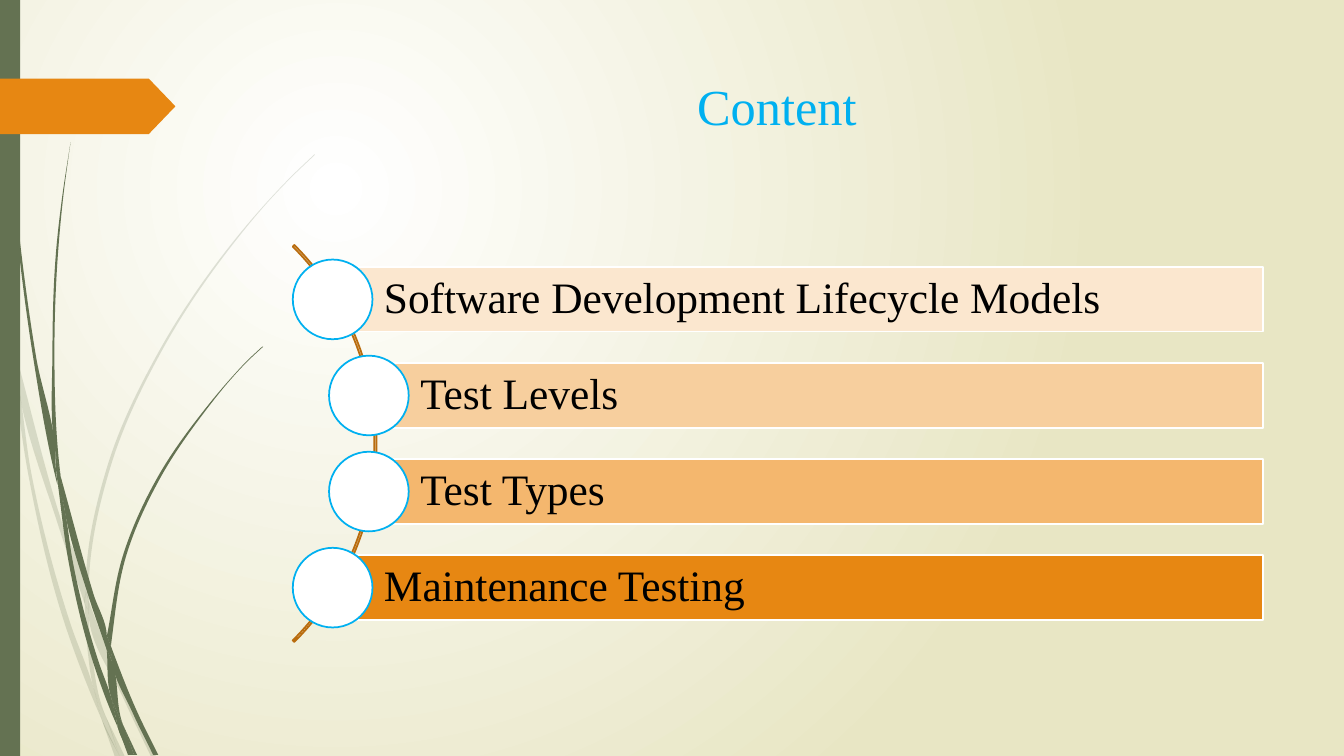
from math import hypot, sqrt

from lxml.etree import SubElement
from pptx import Presentation
from pptx.dml.color import RGBColor
from pptx.enum.shapes import MSO_SHAPE as Preset
from pptx.enum.text import MSO_ANCHOR as Anchor, MSO_AUTO_SIZE as AutoSize, PP_ALIGN as Align
from pptx.oxml import parse_xml
from pptx.oxml.ns import nsdecls, qn
from pptx.util import Inches, Pt

WIDTH, HEIGHT = 13.33, 7.5
FONT = "Times New Roman"
WHITE = RGBColor(0xFF, 0xFF, 0xFF)
BLACK = RGBColor(0x00, 0x00, 0x00)
CREAM = RGBColor(0xE8, 0xE6, 0xC4)
MOSS = RGBColor(0x64, 0x72, 0x52)
ORANGE = RGBColor(0xE7, 0x87, 0x12)
BROWN = RGBColor(0xB9, 0x6C, 0x0E)
SKY = RGBColor(0x00, 0xB0, 0xF0)

TOPICS = [
    ("Software Development Lifecycle Models", RGBColor(0xFB, 0xE7, 0xCF)),
    ("Test Levels", RGBColor(0xF7, 0xCF, 0x9E)),
    ("Test Types", RGBColor(0xF4, 0xB7, 0x6E)),
    ("Maintenance Testing", ORANGE),
]
ROW_PITCH, BAR_HEIGHT, BAR_RIGHT = 2.86 / 3, 0.64, 12.525
NODE_SIZE, NODE_ORBIT = 0.79, 2.75
ARC_X, ARC_Y, ARC_SIZE = 0.95, 4.4, 5.57

# Outlines of the grass segments, in inches
FAINT_GRASS = [
    [(0.11, 3.5), (0.09, 3.22), (0, 2.82), (0, 2.99), (0.1, 3.44)],
    [(0.58, 5.22), (0.84, 5.99), (0.85, 5.86), (0.62, 5.2), (0.14, 3.45), (0.17, 3.76)],
    [(0.92, 6.07), (0.88, 5.96), (0.88, 6.1), (1.23, 6.94), (1.5, 7.51), (1.55, 7.51),
     (1.27, 6.92)],
    [(1.19, 7.51), (1.24, 7.51), (1.05, 7.11)],
    [(0.93, 6.83), (0.7, 6.19), (0.31, 4.69), (0.17, 3.76), (0.11, 3.5), (0.28, 4.7),
     (0.65, 6.21), (0.92, 6.93), (1.01, 7.14), (0.99, 7.07)],
    [(0.84, 5.99), (0.87, 6.46), (0.93, 6.83), (0.96, 6.92), (1.05, 7.11), (1.03, 7.06),
     (0.91, 6.46), (0.88, 6.1), (0.88, 6.08)],
    [(0.88, 5.84), (1.1, 4.62), (1.6, 3.49), (2.29, 2.45), (2.68, 1.98), (2.9, 1.75),
     (3.12, 1.54), (3.12, 1.53), (2.89, 1.75), (2.68, 1.97), (2.28, 2.44), (1.58, 3.48),
     (1.07, 4.61), (0.85, 5.84), (0.85, 5.86), (0.88, 5.96)],
    [(1.01, 7.14), (1.14, 7.51), (1.19, 7.51)],
    [(0.88, 6.08), (0.88, 6.1), (0.88, 5.96), (0.85, 5.86), (0.84, 5.99)],
    [(0.96, 6.92), (0.93, 6.83), (0.99, 7.07), (1.01, 7.14), (1.19, 7.51), (1.05, 7.11)],
]
DARK_GRASS = [
    [(0.07, 1.1), (0.17, 2.33), (0.33, 3.55), (0.56, 4.77), (0.57, 4.81), (0.55, 4.57),
     (0.55, 4.53), (0.36, 3.55), (0.19, 2.32), (0.08, 1.09), (0.05, 0.48), (0.04, 0),
     (0.03, 0), (0.04, 0.48)],
    [(0.88, 5.92), (1.06, 6.45), (1.06, 6.33), (1.06, 6.31), (0.93, 5.9), (0.6, 4.72),
     (0.64, 5.05)],
    [(1.13, 6.49), (1.1, 6.41), (1.11, 6.56), (1.32, 7.08), (1.52, 7.49), (1.57, 7.49),
     (1.36, 7.06)],
    [(1.1, 6.91), (0.98, 6.57), (0.72, 5.56), (0.64, 5.05), (0.57, 4.77), (0.68, 5.57),
     (0.93, 6.59), (1.11, 7.08), (1.17, 7.22), (1.16, 7.17)],
    [(0.6, 4.72), (0.58, 4.53), (0.54, 3.49), (0.58, 2.45), (0.63, 1.93), (0.7, 1.41),
     (0.62, 1.93), (0.56, 2.45), (0.52, 3.49), (0.55, 4.49)],
    [(1.33, 7.49), (1.36, 7.49), (1.22, 7.19)],
    [(0.57, 4.77), (0.64, 5.05), (0.6, 4.72), (0.55, 4.49), (0.55, 4.53)],
    [(1.11, 6.33), (1.25, 5.52), (1.58, 4.76), (2.05, 4.06), (2.31, 3.74), (2.45, 3.59),
     (2.61, 3.44), (2.6, 3.44), (2.45, 3.58), (2.31, 3.73), (2.04, 4.05), (1.56, 4.74),
     (1.22, 5.51), (1.06, 6.31), (1.1, 6.41)],
    [(1.17, 7.22), (1.27, 7.49), (1.31, 7.49)],
    [(1.06, 6.45), (1.1, 6.91), (1.16, 7.06), (1.22, 7.19), (1.21, 7.16), (1.11, 6.56),
     (1.09, 6.51)],
    [(1.06, 6.45), (1.09, 6.51), (1.11, 6.56), (1.1, 6.41), (1.06, 6.31), (1.06, 6.33)],
    [(1.16, 7.06), (1.1, 6.91), (1.16, 7.17), (1.17, 7.22), (1.3, 7.49), (1.33, 7.49),
     (1.22, 7.19)],
]


def style(shape, fill=None, line=None):
    shape.shadow.inherit = False
    if fill is None:
        shape.fill.background()
    else:
        shape.fill.solid()
        shape.fill.fore_color.rgb = fill
    if line is None:
        shape.line.fill.background()
    else:
        shape.line.color.rgb = line
        shape.line.width = Pt(1.25)


def add_preset(slide, preset, left, top, width, height, fill=None, line=None):
    box = [Inches(length) for length in (left, top, width, height)]
    shape = slide.shapes.add_shape(preset, *box)
    style(shape, fill, line)
    return shape


def tangent(before, here, after):
    """Return the unit direction of a smooth outline, or None at a corner."""
    (ax, ay), (bx, by), (cx, cy) = before, here, after
    first, second = hypot(bx - ax, by - ay), hypot(cx - bx, cy - by)
    cosine = ((bx - ax) * (cx - bx) + (by - ay) * (cy - by)) / (first * second)
    if cosine < 0.85:
        return None
    dx, dy = (bx - ax) / first ** 2 + (cx - bx) / second ** 2, \
             (by - ay) / first ** 2 + (cy - by) / second ** 2
    return dx / hypot(dx, dy), dy / hypot(dx, dy)


def round_outline(shape):
    """Turn the straight sides of a freeform into curves that keep its corners."""
    sides = list(shape._element.iter(qn("a:lnTo")))
    ends = [(int(side[0].get("x")), int(side[0].get("y"))) for side in sides]
    count = len(ends)
    tangents = [tangent(ends[i - 1], ends[i], ends[(i + 1) % count]) for i in range(count)]
    for i, side in enumerate(sides):
        (x0, y0), (x1, y1) = ends[i - 1], ends[i]
        length = hypot(x1 - x0, y1 - y0)
        chord = (x1 - x0) / length, (y1 - y0) / length
        (ux, uy), (vx, vy) = tangents[i - 1] or chord, tangents[i] or chord
        reach = length / 3
        side.tag = qn("a:cubicBezTo")
        side.remove(side[0])
        for x, y in ((x0 + ux * reach, y0 + uy * reach),
                     (x1 - vx * reach, y1 - vy * reach), (x1, y1)):
            SubElement(side, qn("a:pt"), x=str(round(x)), y=str(round(y)))


def add_grass(slide, points, opacity):
    outline = [(Inches(x), Inches(y)) for x, y in points]
    builder = slide.shapes.build_freeform(*outline[0])
    builder.add_line_segments(outline[1:] + outline[:1], close=True)
    segment = builder.convert_to_shape()
    style(segment, MOSS)
    round_outline(segment)
    if opacity < 100:
        color = segment.fill._xPr.find(qn("a:solidFill"))[0]
        SubElement(color, qn("a:alpha"), val=str(opacity * 1000))


def set_background(slide):
    fill = slide.background.fill
    fill.gradient()
    for stop, color in zip(fill.gradient_stops, (WHITE, CREAM)):
        stop.color.rgb = color
    gradient = slide.background._cSld.find(".//" + qn("a:gradFill"))
    gradient.replace(gradient.find(qn("a:lin")), parse_xml(
        f'<a:path {nsdecls("a")} path="circle">'
        '<a:fillToRect l="50000" t="50000" r="100000" b="100000"/></a:path>'))


def write(frame, text, size, color, align):
    frame.text = text
    paragraph = frame.paragraphs[0]
    paragraph.alignment = align
    font = paragraph.font
    font.name, font.size, font.color.rgb = FONT, Pt(size), color
    return paragraph


def set_title(slide):
    title = slide.shapes.title
    title.left, title.top, title.width, title.height = map(Inches, (2.83, 0.69, 9.75, 0.95))
    title.text_frame.auto_size = AutoSize.NONE
    title.text_frame.vertical_anchor = Anchor.TOP
    write(title.text_frame, "Content", 36, SKY, Align.CENTER)


def add_topic(slide, row, text, color):
    """Place a bar and its round node where the row meets the arc."""
    offset = (row - (len(TOPICS) - 1) / 2) * ROW_PITCH
    x, y = ARC_X + sqrt(NODE_ORBIT ** 2 - offset ** 2), ARC_Y + offset
    bar = add_preset(slide, Preset.RECTANGLE, x, y - BAR_HEIGHT / 2,
                     BAR_RIGHT - x, BAR_HEIGHT, color, WHITE)
    frame = bar.text_frame
    frame.vertical_anchor = Anchor.MIDDLE
    frame.margin_left = Inches(0.51)
    frame.margin_right = frame.margin_top = frame.margin_bottom = Inches(0.09)
    write(frame, text, 31, BLACK, Align.LEFT).line_spacing = 0.9
    add_preset(slide, Preset.OVAL, x - NODE_SIZE / 2, y - NODE_SIZE / 2,
               NODE_SIZE, NODE_SIZE, WHITE, SKY)


def main():
    deck = Presentation()
    deck.slide_width, deck.slide_height = Inches(WIDTH), Inches(HEIGHT)
    slide = deck.slides.add_slide(deck.slide_layouts[5])
    set_background(slide)
    for segments, opacity in ((FAINT_GRASS, 20), (DARK_GRASS, 100)):
        for points in segments:
            add_grass(slide, points, opacity)
    add_preset(slide, Preset.RECTANGLE, 0, 0, 0.2, HEIGHT, MOSS)
    marker = add_preset(slide, Preset.PENTAGON, 0, 0.78, 1.74, 0.55, ORANGE)
    marker.adjustments[0] = 0.48
    set_title(slide)
    arc = add_preset(slide, Preset.BLOCK_ARC, ARC_X - ARC_SIZE / 2, ARC_Y - ARC_SIZE / 2,
                     ARC_SIZE, ARC_SIZE, line=BROWN)
    for i, value in enumerate((189, 27, 0.004)):
        arc.adjustments[i] = value
    for row, (text, color) in enumerate(TOPICS):
        add_topic(slide, row, text, color)
    deck.save("out.pptx")


if __name__ == "__main__":
    main()
